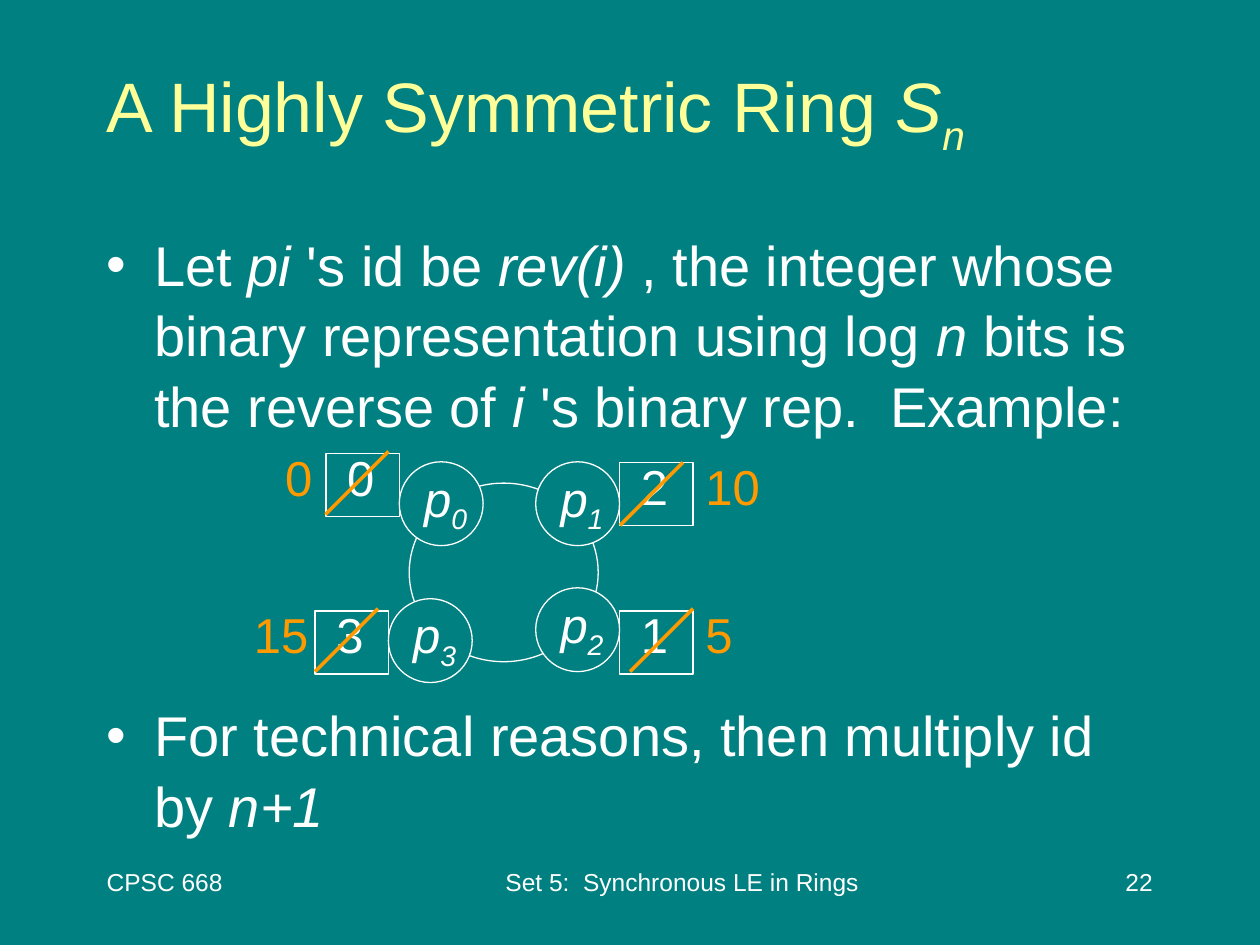
from lxml.etree import SubElement
from pptx import Presentation
from pptx.dml.color import RGBColor
from pptx.enum.shapes import MSO_CONNECTOR, MSO_SHAPE
from pptx.enum.text import MSO_ANCHOR, MSO_AUTO_SIZE, PP_ALIGN
from pptx.oxml.ns import qn
from pptx.util import Cm, Pt

TEAL = RGBColor(0x00, 0x80, 0x80)
WHITE = RGBColor(0xFF, 0xFF, 0xFF)
YELLOW = RGBColor(0xFF, 0xFF, 0x99)
ORANGE = RGBColor(0xFF, 0x99, 0x00)
FONT = "Arial"

# Runs are (text, style), where style is "" (plain), "i" (italic) or "sub" (italic subscript).
TITLE = [("A Highly Symmetric Ring ", ""), ("S", "i"), ("n", "sub")]
BULLETS = [
    [("Let ", ""), ("pi", "i"), (" 's id be ", ""), ("rev(i)", "i"),
     (" , the integer whose binary representation using log ", ""), ("n", "i"),
     (" bits is the reverse of ", ""), ("i", "i"), (" 's binary rep.  Example:", "")],
    [("For technical reasons, then multiply id by ", ""), ("n+1", "i")],
]
RING_GAP = 148  # points left free for the ring between the bullets
# text, left, width (cm), alignment
FOOTERS = [
    ("CPSC 668", 1.9, 5.29, PP_ALIGN.LEFT),
    ("Set 5:  Synchronous LE in Rings", 7.83, 11.85, PP_ALIGN.CENTER),
    ("22", 18.2, 5.29, PP_ALIGN.RIGHT),
]
# index, circle left, circle top, side of the id box, box top, old id,
# slash left, slash top, new id, new id left (cm)
NODES = [
    ("3", 7.83, 12.07, "left", 12.32, "3", 6.35, 12.27, "15", 4.87),
    ("2", 10.8, 11.85, "right", 12.32, "1", 12.7, 12.27, "5", 13.97),
    ("1", 10.8, 9.31, "right", 9.32, "2", 12.5, 9.32, "10", 13.97),
    ("0", 8.05, 9.31, "left", 9.14, "0", 6.56, 9.1, "0", 5.5),
]
NODE_SIZE = 1.69
BOX_W, BOX_H = 1.48, 1.27
SLASH = 1.27
ID_H = 1.45
ID_WIDTHS = {1: 1.04, 2: 1.6}  # by number of digits

prs = Presentation()
prs.slide_width, prs.slide_height = Cm(25.4), Cm(19.05)
s = prs.slides.add_slide(prs.slide_layouts[1])
s.background.fill.solid()
s.background.fill.fore_color.rgb = TEAL


def write(p, runs, size=28, color=WHITE, align=PP_ALIGN.LEFT):
    p.alignment = align
    for text, style in runs:
        r = p.add_run()
        r.text = text
        f = r.font
        f.name, f.size, f.italic = FONT, Pt(size), style != ""
        f.color.rgb = color
        if style == "sub":
            r._r.get_or_add_rPr().set("baseline", "-25000")


def place(sp, left, top, width, height):
    sp.left, sp.top, sp.width, sp.height = Cm(left), Cm(top), Cm(width), Cm(height)


def add_text(runs, left, top, width, height, wrap=False, **fmt):
    tf = s.shapes.add_textbox(Cm(left), Cm(top), Cm(width), Cm(height)).text_frame
    tf.word_wrap = wrap
    tf.auto_size = MSO_AUTO_SIZE.NONE if wrap else MSO_AUTO_SIZE.SHAPE_TO_FIT_TEXT
    write(tf.paragraphs[0], runs, **fmt)


def add_outline(kind, left, top, width, height, fill=None):
    sp = s.shapes.add_shape(kind, Cm(left), Cm(top), Cm(width), Cm(height))
    sp.shadow.inherit = False
    if fill is None:
        sp.fill.background()
    else:
        sp.fill.solid()
        sp.fill.fore_color.rgb = fill
    sp.line.color.rgb = WHITE
    sp.line.width = Pt(0.75)


def add_slash(left, top):
    line = s.shapes.add_connector(MSO_CONNECTOR.STRAIGHT, Cm(left + SLASH), Cm(top),
                                  Cm(left), Cm(top + SLASH))
    line.line.color.rgb = ORANGE
    line.line.width = Pt(2)
    SubElement(line._element.spPr, qn("a:effectLst"))


title, body = s.shapes.title, s.placeholders[1]
place(title, 1.9, 0.64, 21.6, 3.17)
place(body, 1.9, 4.45, 21.6, 12.27)
for sp, anchor in ((title, MSO_ANCHOR.MIDDLE), (body, MSO_ANCHOR.TOP)):
    sp.text_frame.auto_size = MSO_AUTO_SIZE.NONE
    sp.text_frame.vertical_anchor = anchor
write(title.text_frame.paragraphs[0], TITLE, size=40, color=YELLOW)
tf = body.text_frame
for i, runs in enumerate(BULLETS):
    p = tf.add_paragraph() if i else tf.paragraphs[0]
    p.space_before = Pt(RING_GAP if i else 0)
    p.line_spacing = 1.05
    write(p, runs, size=32)

for text, left, width, align in FOOTERS:
    add_text([(text, "")], left, 17.35, width, 1.27, wrap=True, size=14, align=align)

add_outline(MSO_SHAPE.OVAL, 8.25, 9.74, 3.81, 3.6)
for (index, x, y, side, box_y, old_id, slash_x, slash_y, new_id, new_x) in NODES:
    add_outline(MSO_SHAPE.OVAL, x, y, NODE_SIZE, NODE_SIZE, fill=TEAL)
    add_text([("p", "i"), (index, "sub")], x + 0.25, y, 1.37, 1.6)
    box_x = x - BOX_W if side == "left" else x + NODE_SIZE
    id_y = box_y - 0.25
    add_text([(old_id, "")], box_x + 0.18, id_y, ID_WIDTHS[1], ID_H)
    add_outline(MSO_SHAPE.RECTANGLE, box_x, box_y, BOX_W, BOX_H)
    add_slash(slash_x, slash_y)
    add_text([(new_id, "")], new_x, id_y, ID_WIDTHS[len(new_id)], ID_H, color=ORANGE)

prs.save("out.pptx")
